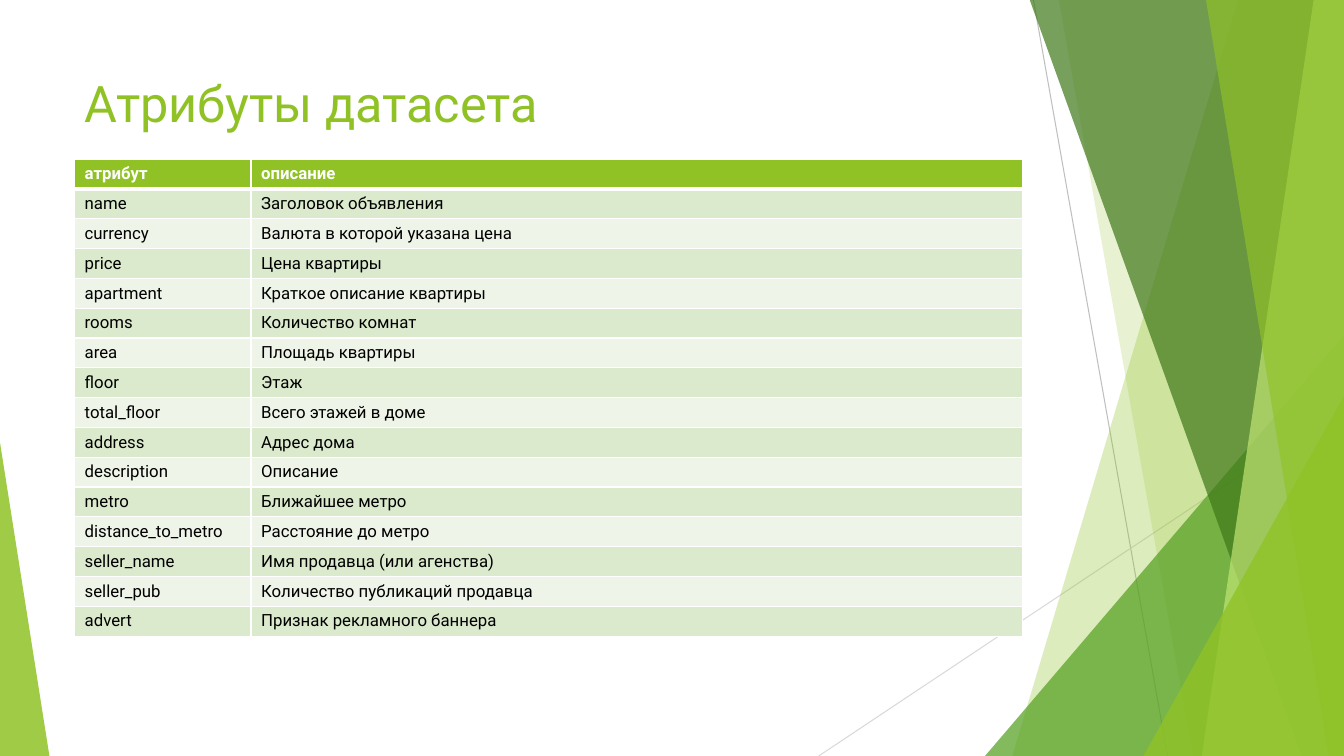
from lxml import etree
from pptx import Presentation
from pptx.dml.color import RGBColor
from pptx.enum.shapes import MSO_CONNECTOR, MSO_SHAPE
from pptx.enum.text import MSO_ANCHOR, MSO_AUTO_SIZE, PP_ALIGN
from pptx.oxml.ns import qn
from pptx.util import Inches, Pt

STRAIGHT = MSO_CONNECTOR.STRAIGHT
TRIANGLE = MSO_SHAPE.ISOSCELES_TRIANGLE
TOP = MSO_ANCHOR.TOP
LEFT = PP_ALIGN.LEFT
NO_AUTOFIT = MSO_AUTO_SIZE.NONE

COLORS = {
    "lime": "90C226",
    "green": "54A021",
    "forest": "3F7819",
    "pale": "C0E474",
    "gray": "BFBFBF",
    "silver": "D9D9D9",
    "white": "FFFFFF",
    "black": "000000",
    "odd_row": "DBE9CD",
    "even_row": "EEF4E8",
}
RAYS = [
    ((10.25, 0), (11.58, 7.5), "gray"),
    ((13.33, 4.03), (8.12, 7.5), "silver"),
]
BACK_PANELS = [(12.28, 10.04, "lime", 30), (10.5, 11.83, "lime", 20)]
FRONT_PANELS = [
    (10.21, 12.91, "forest", 70),
    (13.03, 11.92, "pale", 70),
    (11.96, 13.18, "lime", 65),
]
BACK_WEDGES = [((9.77, 3.33, 3.56, 4.17), 1, "green", 72)]
FRONT_WEDGES = [
    ((11.34, 3.93, 1.99, 3.57), 1, "lime", 80),
    ((0, 4.39, 0.49, 3.11), 0, "lime", 85),
]
ATTRIBUTES = [
    ("атрибут", "описание"),
    ("name", "Заголовок объявления"),
    ("currency", "Валюта в которой указана цена"),
    ("price", "Цена квартиры"),
    ("apartment", "Краткое описание квартиры"),
    ("rooms", "Количество комнат"),
    ("area", "Площадь квартиры"),
    ("floor", "Этаж"),
    ("total_floor", "Всего этажей в доме"),
    ("address", "Адрес дома"),
    ("description", "Описание"),
    ("metro", "Ближайшее метро"),
    ("distance_to_metro", "Расстояние до метро"),
    ("seller_name", "Имя продавца (или агенства)"),
    ("seller_pub", "Количество публикаций продавца"),
    ("advert", "Признак рекламного баннера"),
]


class SlideBuilder:
    font_name = "Roboto"

    def __init__(self, slide):
        self.slide = slide

    def color(self, name):
        return RGBColor.from_string(COLORS[name])

    def apply(self, target, **values):
        for attribute, value in values.items():
            setattr(target, attribute, value)

    def style_text(self, paragraph, color, **values):
        self.apply(paragraph.font, name=self.font_name, **values)
        paragraph.font.color.rgb = self.color(color)
        paragraph.alignment = LEFT

    def title(self, text, box):
        heading = self.slide.shapes.title
        self.apply(heading, **dict(zip(("left", "top", "width", "height"), map(Inches, box))))
        heading.text = text
        self.apply(heading.text_frame, auto_size=NO_AUTOFIT, vertical_anchor=TOP, word_wrap=True)
        self.style_text(heading.text_frame.paragraphs[0], color="lime", size=Pt(36))

    def ray(self, start, end, color):
        ray = self.slide.shapes.add_connector(STRAIGHT, *map(Inches, start + end))
        ray.line.color.rgb = self.color(color)
        ray.line.width = Pt(0.75)
        etree.SubElement(ray._element.spPr, qn("a:effectLst"))

    def tint(self, shape, color, opacity):
        shape.shadow.inherit = False
        shape.line.fill.background()
        shape.fill.solid()
        shape.fill.fore_color.rgb = self.color(color)
        fill_color = shape._element.spPr.find(qn("a:solidFill"))[0]
        etree.SubElement(fill_color, qn("a:alpha"), val=str(opacity * 1000))

    def panel(self, top_x, bottom_x, color, opacity):
        corners = [(13.33, -0.01), (13.33, 7.5), (bottom_x, 7.5)]
        outline = self.slide.shapes.build_freeform(Inches(top_x), Inches(-0.01))
        outline.add_line_segments([(Inches(x), Inches(y)) for x, y in corners], close=True)
        self.tint(outline.convert_to_shape(), color, opacity)

    def wedge(self, box, apex, color, opacity):
        wedge = self.slide.shapes.add_shape(TRIANGLE, *map(Inches, box))
        wedge.adjustments[0] = apex
        self.tint(wedge, color, opacity)

    def borders(self, cell, widths):
        properties = cell._tc.get_or_add_tcPr()
        for side, width in widths.items():
            border = etree.SubElement(properties, qn(f"a:ln{side}"), w=str(Pt(width)))
            fill = etree.SubElement(border, qn("a:solidFill"))
            etree.SubElement(fill, qn("a:srgbClr"), val=COLORS["white"])

    def table(self, rows, box, column_widths, row_height):
        table = self.slide.shapes.add_table(len(rows), len(column_widths), *map(Inches, box)).table
        for column, width in zip(table.columns, column_widths):
            column.width = Inches(width)
        for index, texts in enumerate(rows):
            table.rows[index].height = Inches(row_height)
            header = index == 0
            fill = "lime" if header else "odd_row" if index % 2 else "even_row"
            widths = {"L": 1, "R": 1, "T": 3 if index == 1 else 1, "B": 3 if header else 1}
            for cell, text in zip(table.rows[index].cells, texts):
                cell.text = text
                self.borders(cell, widths)
                cell.fill.solid()
                cell.fill.fore_color.rgb = self.color(fill)
                self.style_text(
                    cell.text_frame.paragraphs[0],
                    color="white" if header else "black",
                    size=Pt(12),
                    bold=header,
                )


def main():
    presentation = Presentation()
    presentation.slide_width = Inches(13.33)
    presentation.slide_height = Inches(7.5)
    builder = SlideBuilder(presentation.slides.add_slide(presentation.slide_layouts[5]))

    builder.title("Атрибуты датасета", (0.74, 0.67, 9.4, 1.44))
    for ray in RAYS:
        builder.ray(*ray)
    for panels, wedges in ((BACK_PANELS, BACK_WEDGES), (FRONT_PANELS, FRONT_WEDGES)):
        for panel in panels:
            builder.panel(*panel)
        for wedge in wedges:
            builder.wedge(*wedge)
    builder.table(ATTRIBUTES, (0.74, 1.58, 9.4, 4.64), (1.75, 7.65), 0.29)

    presentation.save("out.pptx")


if __name__ == "__main__":
    main()
